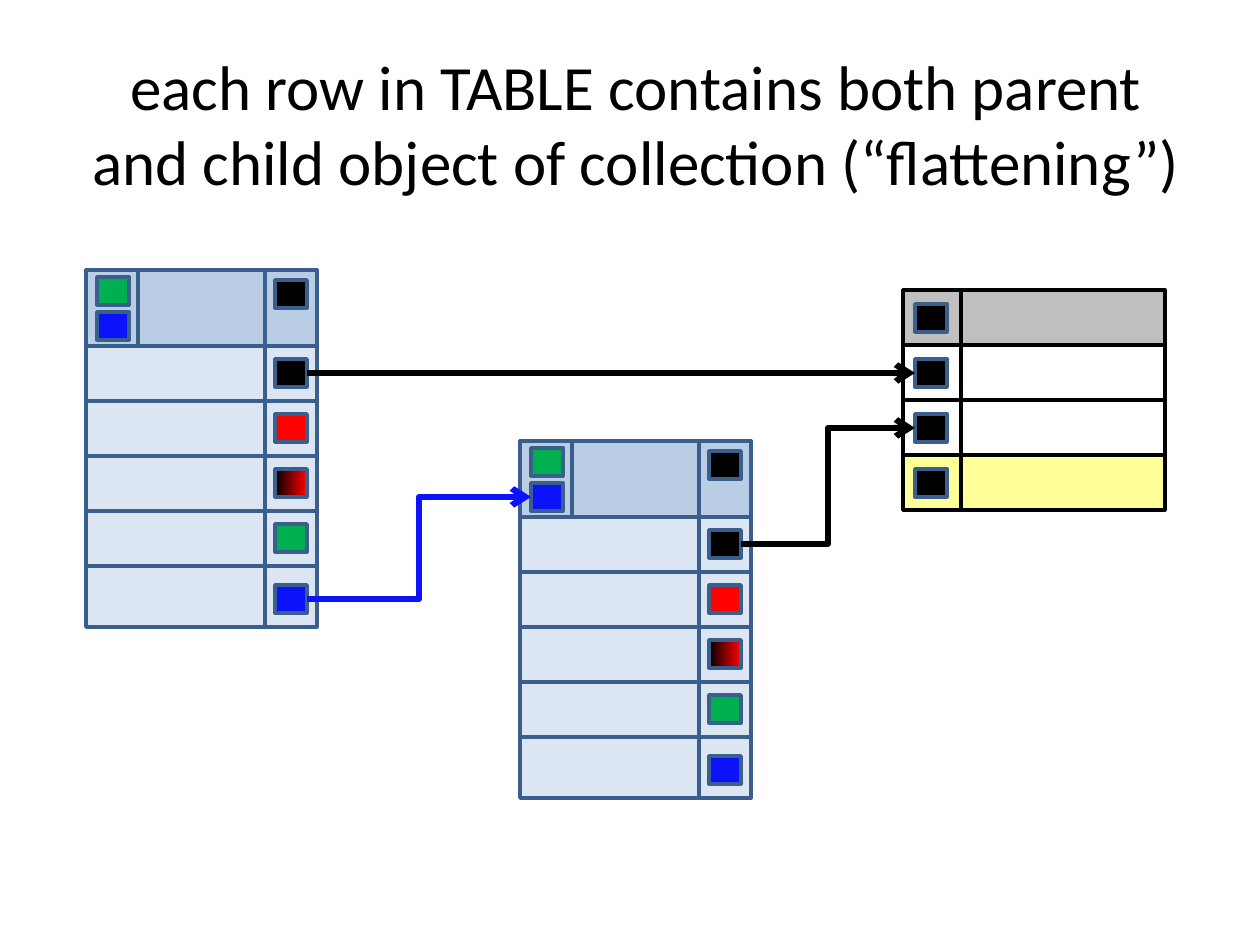
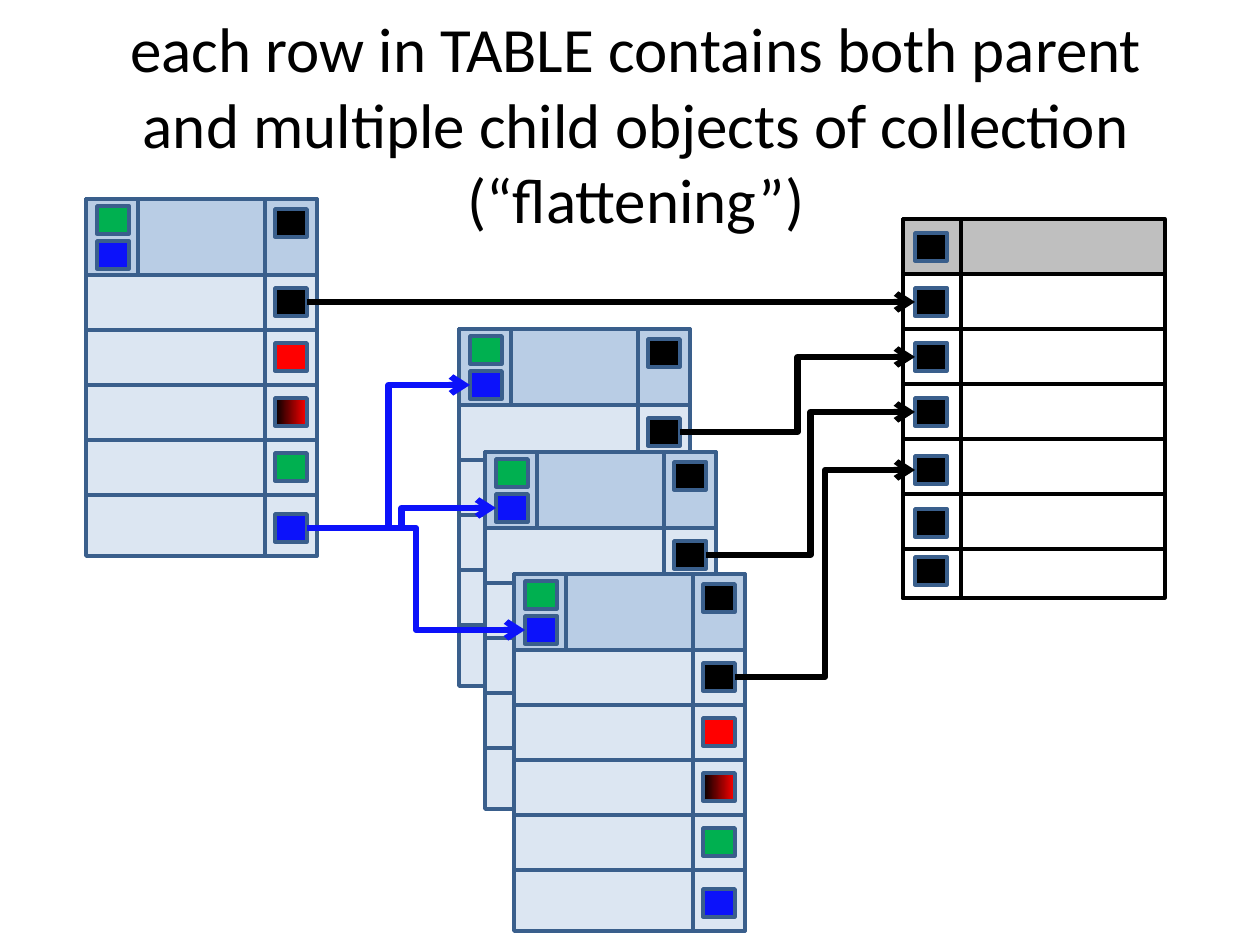
import pptx
import pptx.util
import pptx.dml.color
import pptx.enum.shapes
import pptx.enum.text
import pptx.oxml
import pptx.oxml.ns

PX = 914400 / 126
FONT = "Calibri"
BLACK, RED, GREEN, BLUE = "000000", "FF0000", "00B050", "0C12FA"
STEEL, PALE, HEADER = "3A5F8C", "DCE6F2", "B9CDE5"
GRAY, YELLOW = "BFBFBF", "FFFF99"
FADE = (BLACK, RED)

TITLE_BOX = (69, 84, 1134, 78)
ICON_SIZE = (32, 28)
ROW = 55

OBJECT_SIZE = (231, 357)
OBJECT_HEADER = 76
OBJECT_COLUMN = 52
# colour and top of the icon of each field, measured from the object's top
FIELDS = [(BLACK, 89), (RED, 89 + ROW), (FADE, 89 + 2 * ROW), (GREEN, 89 + 3 * ROW), (BLUE, 315)]

TABLE_LEFT, TABLE_WIDTH, TABLE_COLUMN = 903, 262, 58
# height, fill and icon inset of each table row
HEAD_ROW, PLAIN_ROW, YELLOW_ROW = (ROW, GRAY, 14), (ROW, None, 14), (ROW, YELLOW, 14)

# each child: left, top, number of field icons in view
SLIDES = [
    {
        "title": "each row in TABLE contains both parent and child object of collection (“flattening”)",
        "parent": (86, 270),
        "children": [(520, 441, 5)],
        "table_top": 290,
        "rows": [HEAD_ROW, PLAIN_ROW, PLAIN_ROW, YELLOW_ROW],
    },
    {
        "title": "each row in TABLE contains both parent and multiple child objects of collection (“flattening”)",
        "parent": (86, 199),
        "children": [(459, 329, 1), (485, 452, 1), (514, 574, 5)],
        "table_top": 219,
        "rows": [HEAD_ROW] + [PLAIN_ROW] * 3 + [(ROW, None, 17), (ROW, None, 15), (49, None, 8)],
    },
]


def emu(*lengths):
    return [pptx.util.Emu(round(length * PX)) for length in lengths]


def rgb(color):
    return pptx.dml.color.RGBColor.from_string(color)


def add_rect(shapes, left, top, width, height, fill=None, line=STEEL):
    """A fill is a hex colour, a pair of colours for a gradient, or None."""
    rect = shapes.add_shape(pptx.enum.shapes.MSO_SHAPE.RECTANGLE, *emu(left, top, width, height))
    rect.shadow.inherit = False
    rect.line.color.rgb = rgb(line)
    rect.line.width = pptx.util.Pt(2)
    if fill is None:
        rect.fill.background()
    elif isinstance(fill, tuple):
        rect.fill.gradient()
        rect.fill.gradient_angle = 0
        for stop, color, position in zip(rect.fill.gradient_stops, fill, (0, 1)):
            stop.color.rgb = rgb(color)
            stop.position = position
    else:
        rect.fill.solid()
        rect.fill.fore_color.rgb = rgb(fill)
    return rect


def add_icon(shapes, left, top, fill):
    return add_rect(shapes, left, top, *ICON_SIZE, fill=fill)


def add_text(page, text, bounds, size, color=BLACK):
    box = page.shapes.add_textbox(*emu(*bounds))
    frame = box.text_frame
    frame.word_wrap = True
    frame.vertical_anchor = pptx.enum.text.MSO_ANCHOR.MIDDLE
    para = frame.paragraphs[0]
    para.alignment = pptx.enum.text.PP_ALIGN.CENTER
    span = para.add_run()
    span.text = text
    span.font.name = FONT
    span.font.size = pptx.util.Pt(size)
    span.font.color.rgb = rgb(color)


def add_object(page, left, top, shown=len(FIELDS)):
    """Draw an object and return its reference icon and its field icons."""
    shapes = page.shapes.add_group_shape().shapes
    width, height = OBJECT_SIZE
    add_rect(shapes, left, top, width, height, PALE)
    add_rect(shapes, left, top, width, OBJECT_HEADER, HEADER)
    for index in range(len(FIELDS) - 1):
        add_rect(shapes, left, top + OBJECT_HEADER + index * ROW, width, ROW)
    add_rect(shapes, left + width - OBJECT_COLUMN, top, OBJECT_COLUMN, height)
    add_rect(shapes, left, top, OBJECT_COLUMN, OBJECT_HEADER)

    icon_left = left + width - OBJECT_COLUMN + 10
    fields = [add_icon(shapes, icon_left, top + offset, color) for color, offset in FIELDS[:shown]]
    add_icon(shapes, icon_left, top + 10, BLACK)
    add_icon(shapes, left + 11, top + 7, GREEN)
    reference = add_icon(shapes, left + 11, top + 42, BLUE)
    return reference, fields


def add_row_table(page, top, rows):
    """Draw the target table and return the icons of its rows."""
    shapes = page.shapes.add_group_shape().shapes
    icon_tops = []
    row_top = top
    for height, fill, inset in rows:
        add_rect(shapes, TABLE_LEFT, row_top, TABLE_WIDTH, height, fill, BLACK)
        icon_tops.append(row_top + inset)
        row_top += height
    add_rect(shapes, TABLE_LEFT, top, TABLE_COLUMN, row_top - top, line=BLACK)
    return [add_icon(shapes, TABLE_LEFT + 12, icon_top, BLACK) for icon_top in icon_tops]


def add_arrow(page, source, target, color):
    """Join the right side of one icon to the left side of another."""
    kinds = pptx.enum.shapes.MSO_CONNECTOR
    kind = kinds.STRAIGHT if source.top == target.top else kinds.ELBOW
    arrow = page.shapes.add_connector(kind, 0, 0, 0, 0)
    arrow.begin_connect(source, 3)
    arrow.end_connect(target, 1)
    arrow.line.color.rgb = rgb(color)
    arrow.line.width = pptx.util.Pt(3.5)
    properties = arrow._element.spPr
    outline = properties.find(pptx.oxml.ns.qn("a:ln"))
    namespace = pptx.oxml.ns.nsdecls("a")
    outline.append(pptx.oxml.parse_xml(f'<a:tailEnd {namespace} type="arrow"/>'))
    properties.append(pptx.oxml.parse_xml(f"<a:effectLst {namespace}/>"))


def build_slide(deck, content):
    page = deck.slides.add_slide(deck.slide_layouts[6])
    add_text(page, content["title"], TITLE_BOX, 36)
    row_icons = add_row_table(page, content["table_top"], content["rows"])
    _, parent_fields = add_object(page, *content["parent"])
    add_arrow(page, parent_fields[0], row_icons[1], BLACK)
    for child, row_icon in zip(content["children"], row_icons[2:]):
        reference, child_fields = add_object(page, *child)
        add_arrow(page, parent_fields[-1], reference, BLUE)
        add_arrow(page, child_fields[0], row_icon, BLACK)


def main():
    deck = pptx.Presentation()
    deck.slide_width, deck.slide_height = emu(1260, 945)
    for content in SLIDES:
        build_slide(deck, content)
    deck.save("out.pptx")


if __name__ == "__main__":
    main()
